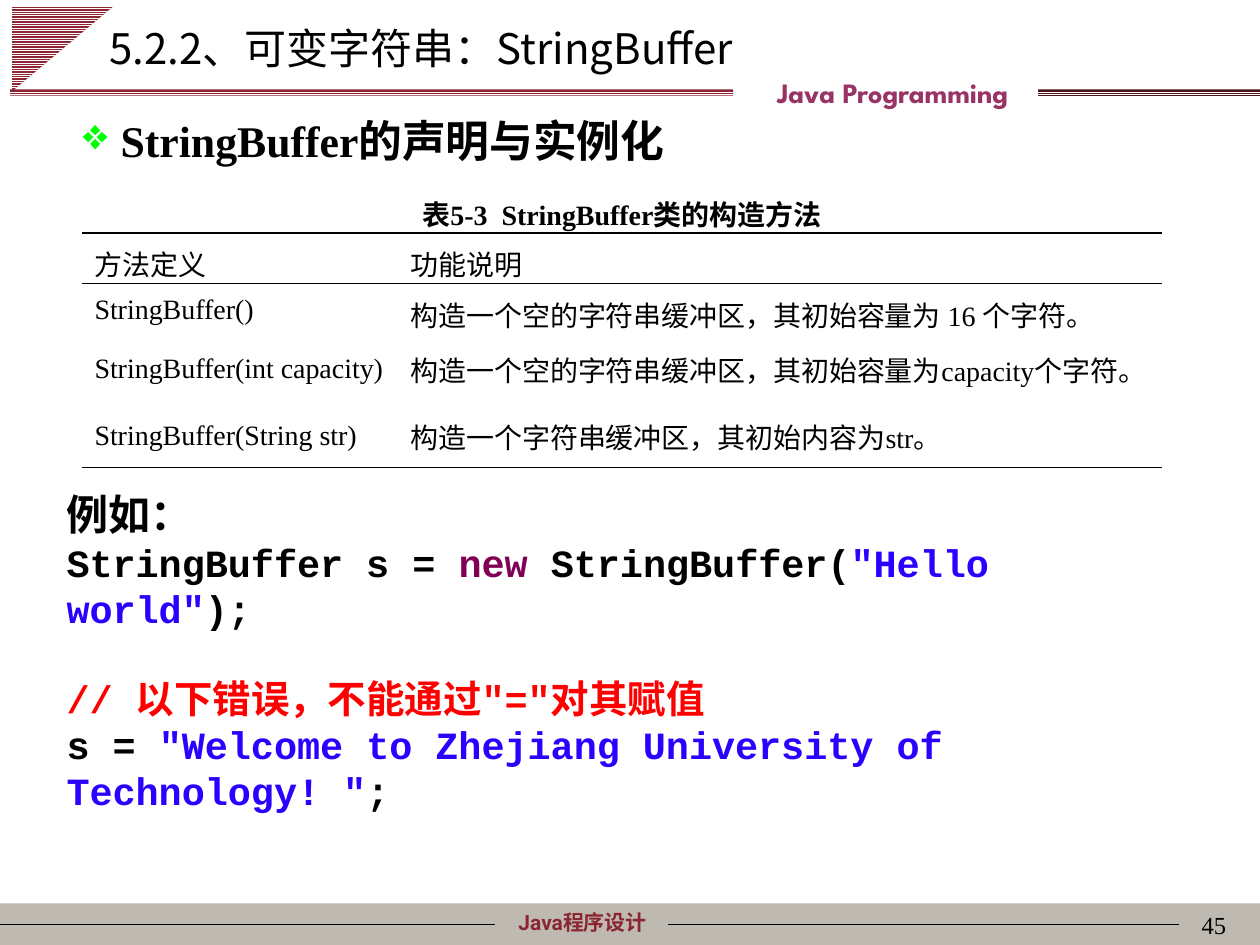
from dataclasses import dataclass

from lxml.etree import SubElement
from pptx import Presentation
from pptx.dml.color import RGBColor
from pptx.enum.dml import MSO_PATTERN
from pptx.enum.shapes import MSO_CONNECTOR, MSO_SHAPE
from pptx.enum.text import MSO_ANCHOR, PP_ALIGN
from pptx.oxml.ns import qn
from pptx.slide import Slide
from pptx.util import Inches, Pt

BLACK = RGBColor(0, 0, 0)
WHITE = RGBColor(255, 255, 255)
STONE = RGBColor(0xBF, 0xBA, 0xB1)
WINE = RGBColor(0x8C, 0x25, 0x32)
DARK_WINE = RGBColor(0x4C, 0x14, 0x1B)
PLUM = RGBColor(0x99, 0x33, 0x66)
GREEN = RGBColor(0, 255, 0)
RED = RGBColor(255, 0, 0)
KEYWORD = RGBColor(0x7F, 0, 0x55)
STRING = RGBColor(0x2A, 0, 0xFF)

SANS = "Noto Sans CJK SC"
SERIF = "Times New Roman"
MONO = "Courier New"


def write(paragraph, text, size=16, font=SERIF, color=BLACK, bold=False):
    run = paragraph.add_run()
    run.text = text
    run.font.size = Pt(size)
    run.font.name = font
    run.font.bold = bold
    run.font.color.rgb = color
    SubElement(run.font._element, qn("a:ea"), typeface=SANS)


@dataclass
class Lesson:
    slide: Slide
    cell_size: int

    def grid(self, *lengths):
        return [round(length * self.cell_size) for length in lengths]

    def block(self, kind, *place, fill, stripes=False, turn=0):
        shape = self.slide.shapes.add_shape(kind, *self.grid(*place))
        shape.shadow.inherit = False
        shape.line.fill.background()
        shape.rotation = turn
        if stripes:
            shape.fill.patterned()
            shape.fill.pattern = MSO_PATTERN.LIGHT_HORIZONTAL
            shape.fill.fore_color.rgb = WHITE
            shape.fill.back_color.rgb = fill
        else:
            shape.fill.solid()
            shape.fill.fore_color.rgb = fill
        return shape

    def rule(self, start, end, row):
        line = self.slide.shapes.add_connector(
            MSO_CONNECTOR.STRAIGHT, *self.grid(start, row, end, row))
        line.line.color.rgb = BLACK
        line.line.width = Pt(0.75)
        SubElement(line._element.spPr, qn("a:effectLst"))
        return line

    def frame(self, *place, anchor=MSO_ANCHOR.TOP):
        frame = self.slide.shapes.add_textbox(*self.grid(*place)).text_frame
        frame.word_wrap = True
        frame.vertical_anchor = anchor
        return frame

    def label(self, text, *place, align=PP_ALIGN.LEFT, **style):
        paragraph = self.frame(*place).paragraphs[0]
        paragraph.alignment = align
        write(paragraph, text, **style)
        return paragraph

    def bullet(self, paragraph, mark, color, indent):
        width = str(self.grid(indent)[0])
        props = paragraph._p.get_or_add_pPr()
        props.set("marL", width)
        props.set("indent", "-" + width)
        tint = SubElement(props, qn("a:buClr"))
        SubElement(tint, qn("a:srgbClr"), val=str(color))
        SubElement(props, qn("a:buChar"), char=mark)

    def code(self, lines, *place):
        frame = self.frame(*place, anchor=MSO_ANCHOR.MIDDLE)
        for number, (gap, style, pieces) in enumerate(lines):
            paragraph = frame.add_paragraph() if number else frame.paragraphs[0]
            paragraph.space_before = Pt(gap)
            for text, color in pieces:
                write(paragraph, text, color=color, bold=True, **style)

    def borders(self, cell, ruled):
        props = cell._tc.get_or_add_tcPr()
        for side in "LRTB":
            edge = SubElement(props, qn("a:ln" + side), w=str(Pt(1)))
            if side in ruled:
                paint = SubElement(edge, qn("a:solidFill"))
                SubElement(paint, qn("a:srgbClr"), val=str(BLACK))
            else:
                SubElement(edge, qn("a:noFill"))

    def table(self, caption, rows, left, top, widths, heights, ruled_rows):
        table = self.slide.shapes.add_table(
            len(heights), len(widths),
            *self.grid(left, top, sum(widths), sum(heights))).table
        table.first_row = table.horz_banding = False
        for column, width in zip(table.columns, self.grid(*widths)):
            column.width = width
        for row, height in zip(table.rows, self.grid(*heights)):
            row.height = height
        table.cell(0, 0).merge(table.cell(0, len(widths) - 1))
        for r, texts in enumerate([(caption, ""), *rows]):
            ruled = ("T" if r - 1 in ruled_rows else "") + ("B" if r in ruled_rows else "")
            for c, text in enumerate(texts):
                cell = table.cell(r, c)
                self.borders(cell, ruled)
                cell.fill.background()
                cell.vertical_anchor = MSO_ANCHOR.MIDDLE
                if text:
                    paragraph = cell.text_frame.paragraphs[0]
                    paragraph.line_spacing = 1.1
                    paragraph.alignment = PP_ALIGN.LEFT if r else PP_ALIGN.CENTER
                    write(paragraph, text, bold=r == 0)


def main():
    deck = Presentation()
    deck.slide_width, deck.slide_height = Inches(10), Inches(7.5)
    lesson = Lesson(deck.slides.add_slide(deck.slide_layouts[6]),
                    deck.slide_width // 100)

    footer = lesson.block(MSO_SHAPE.RECTANGLE, 0, 71.7, 100, 3.3, fill=STONE)
    lesson.label("Java程序设计", 36.2, 71.7, 20.1, 3, align=PP_ALIGN.CENTER,
                 size=12, font="Roboto", color=WINE, bold=True)
    lesson.rule(0, 39.3, 73.35).begin_connect(footer, 1)
    lesson.rule(53, 93.6, 73.35)
    lesson.block(MSO_SHAPE.RIGHT_TRIANGLE, 1.6, -0.2, 6.8, 8.1,
                 fill=WINE, stripes=True, turn=90)
    lesson.block(MSO_SHAPE.RECTANGLE, 82.4, 7.1, 17.6, 0.6,
                 fill=DARK_WINE, stripes=True)
    lesson.block(MSO_SHAPE.RECTANGLE, 0.8, 7.1, 57.4, 0.5,
                 fill=WINE, stripes=True)
    lesson.label("Java Programming", 50.8, 5.5, 40.1, 3.7, align=PP_ALIGN.CENTER,
                 font="League Spartan", color=PLUM, bold=True)
    lesson.label("45", 77.5, 71.7, 20.8, 5, align=PP_ALIGN.RIGHT, size=14)

    lesson.label("5.2.2、可变字符串：StringBuffer", 7.7, 1.3, 85, 5,
                 size=24, font=SANS)
    heading = lesson.label("StringBuffer的声明与实例化", 5.6, 8.5, 53.7, 5.2,
                           size=25, bold=True)
    lesson.bullet(heading, "❖", GREEN, 3)

    constructors = [
        ("方法定义", "功能说明"),
        ("StringBuffer()", "构造一个空的字符串缓冲区，其初始容量为 16 个字符。"),
        ("StringBuffer(int capacity)",
         "构造一个空的字符串缓冲区，其初始容量为capacity个字符。"),
        ("StringBuffer(String str)", "构造一个字符串缓冲区，其初始内容为str。"),
    ]
    lesson.table("表5-3  StringBuffer类的构造方法", constructors, 6.5, 14.5,
                 widths=(25.1, 60.6), heights=(4, 4, 4, 5.3, 5.3),
                 ruled_rows=(0, 1, 4))

    intro = {"size": 24, "font": SANS}
    mono = {"size": 22, "font": MONO}
    lesson.code([
        (0, intro, [("例如：", BLACK)]),
        (0, mono, [("StringBuffer s = ", BLACK), ("new ", KEYWORD),
                   ("StringBuffer(", BLACK), ('"Hello world"', STRING), (");", BLACK)]),
        (25, mono, [('// 以下错误，不能通过"="对其赋值', RED)]),
        (0, mono, [("s = ", BLACK),
                   ('"Welcome to Zhejiang University of Technology! "', STRING),
                   (";", BLACK)]),
    ], 4.3, 41.7, 91.6, 19.9)

    deck.save("out.pptx")


if __name__ == "__main__":
    main()
